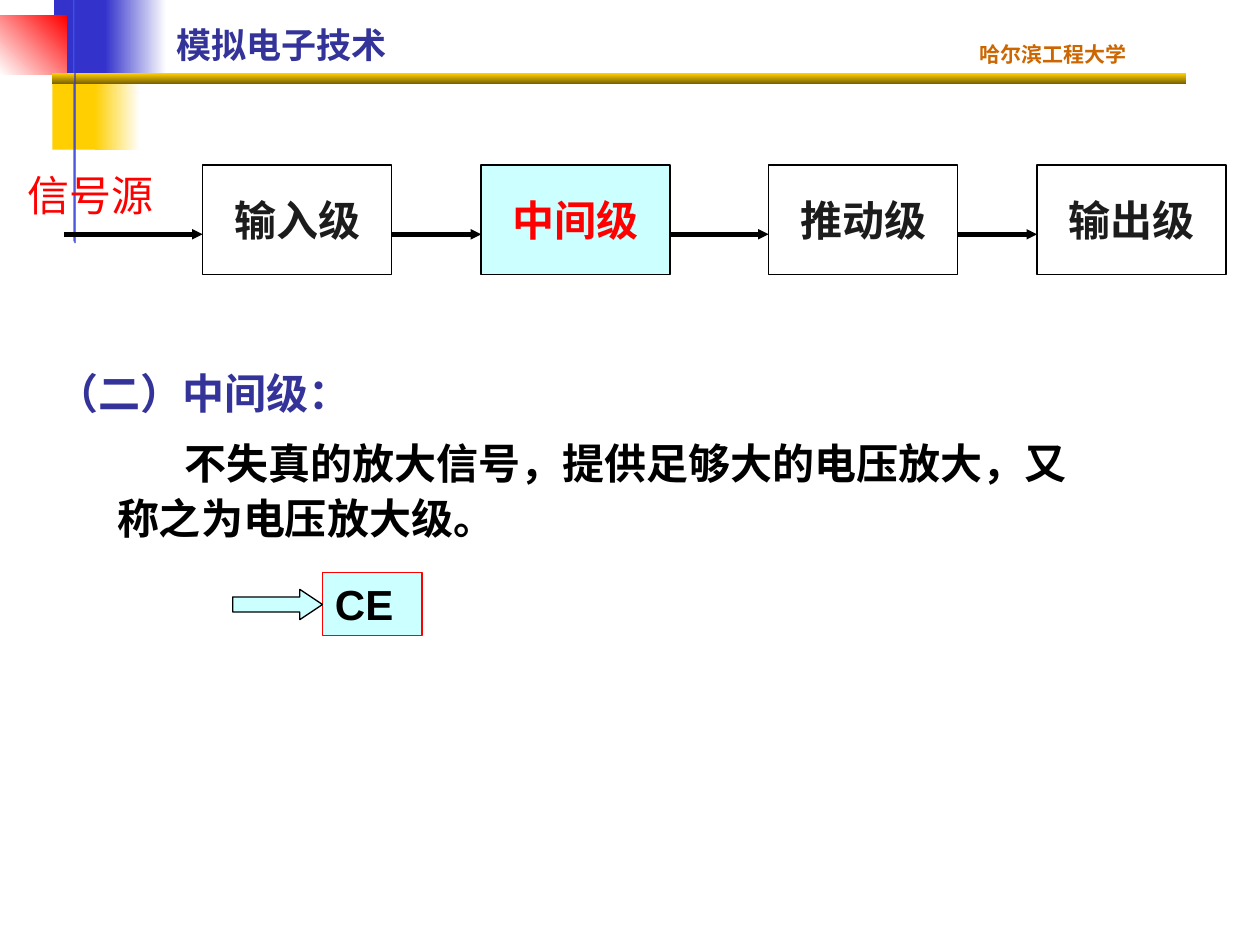
from lxml import etree
from pptx import Presentation
from pptx.dml.color import RGBColor
from pptx.enum import shapes, text
from pptx.oxml.ns import qn
from pptx.util import Pt

NAVY, BLUE, GOLD, RED = "333399", "3333CC", "FFCF01", "FF0000"
BLACK, WHITE, CYAN = "000000", "FFFFFF", "CCFFFF"
CJK = "Noto Sans CJK SC"


def color(value):
    return RGBColor.from_string(value)


def add_block(slide, box, fill=None, line=None, weight=0.75, angle=0,
              kind=shapes.MSO_SHAPE.RECTANGLE):
    block = slide.shapes.add_shape(kind, *map(Pt, box))
    block.shadow.inherit = False
    if fill is None:
        block.fill.background()
    elif isinstance(fill, tuple):
        block.fill.gradient()
        block.fill.gradient_angle = angle
        for stop, shade in zip(block.fill.gradient_stops, fill):
            stop.color.rgb = color(shade)
    else:
        block.fill.solid()
        block.fill.fore_color.rgb = color(fill)
    if line:
        block.line.color.rgb = color(line)
        block.line.width = Pt(weight)
    else:
        block.line.fill.background()
    return block


def write(holder, words, size=24, font=CJK, ink=BLACK, bold=True, wrap=True,
          align=text.PP_ALIGN.LEFT, indent=0, leading=None):
    frame = holder.text_frame
    frame.word_wrap = wrap
    frame.vertical_anchor = text.MSO_ANCHOR.MIDDLE
    paragraph = frame.paragraphs[0]
    paragraph.alignment = align
    if indent:
        paragraph._p.get_or_add_pPr().set("indent", str(Pt(indent)))
    if leading:
        paragraph.line_spacing = Pt(leading)
    run = paragraph.add_run()
    run.text = words
    run.font.size = Pt(size)
    run.font.name = font
    run.font.bold = bold
    run.font.color.rgb = color(ink)


def add_label(slide, box, words, **style):
    write(slide.shapes.add_textbox(*map(Pt, box)), words, **style)


def add_arrow(slide, start, end, y):
    arrow = slide.shapes.add_connector(
        shapes.MSO_CONNECTOR.STRAIGHT, Pt(start), Pt(y), Pt(end), Pt(y))
    arrow.line.color.rgb = color(BLACK)
    arrow.line.width = Pt(3)
    etree.SubElement(arrow.line._get_or_add_ln(), qn("a:tailEnd"),
                     type="triangle", w="sm", len="sm")
    etree.SubElement(arrow._element.spPr, qn("a:effectLst"))


def add_header(slide, left, top):
    def place(x, y, width, height):
        return left + x, top + y, width, height

    add_block(slide, place(30, 48, 34.5, 37.5), GOLD)
    add_block(slide, place(54, 48, 26, 37.5), (GOLD, WHITE))
    add_block(slide, place(31, 0, 33, 41.75), BLUE)
    add_block(slide, place(60, 0, 35, 41.75), (BLUE, WHITE))
    add_block(slide, place(0, 9, 38.25, 33.5), (WHITE, RED), angle=45)
    add_block(slide, place(42, 0, 0.75, 138), "3366FF")
    add_block(slide, place(30, 42, 648, 6), (GOLD, "766000"), angle=270)
    center = text.PP_ALIGN.CENTER
    add_label(slide, place(93.6, 9.4, 134.6, 31.7), "模拟电子技术", size=20,
              font="Lato", ink=NAVY, wrap=False, align=center)
    add_label(slide, place(513.4, 20.2, 176.4, 21.6), "哈尔滨工程大学", size=12,
              font="Lato", ink="CC6600", align=center)
    add_block(slide, place(42.5, 0, 0.75, 139), BLUE)


def add_stages(slide, left, top):
    width, height = 108, 62.6
    stages = [("输入级", 79), ("中间级", 238.2), ("推动级", 402.4), ("输出级", 555.8)]
    source = left
    for name, offset in stages:
        active = name == "中间级"
        x = left + offset
        stage = add_block(slide, (x, top, width, height),
                          CYAN if active else None, BLACK, 1)
        write(stage, name, font="DejaVu Sans", ink=RED if active else "1C1C1C",
              wrap=False, align=text.PP_ALIGN.CENTER)
        add_arrow(slide, source, x, top + 39.6)
        source = x + width
    add_label(slide, (left - 28, top - 11.5, 113, 56.9), "信号源",
              font="Lato", ink=RED, bold=False)


def add_explanation(slide, left, top):
    add_label(slide, (left, top, 385, 44), "（二）中间级：", ink=NAVY)
    add_label(slide, (left + 34.6, top + 38, 561.6, 76),
              "不失真的放大信号，提供足够大的电压放大，又称之为电压放大级。",
              indent=38.3, leading=31.4)


def add_circuit(slide, left, top):
    circuit = add_block(slide, (left + 51.3, top, 56.9, 36), CYAN, RED)
    write(circuit, "CE", font="Arial")
    pointer = add_block(slide, (left, top + 9.8, 51.3, 17.3), CYAN, BLACK,
                        kind=shapes.MSO_SHAPE.RIGHT_ARROW)
    pointer.adjustments[0] = 0.5
    pointer.adjustments[1] = 0.75


def main():
    deck = Presentation()
    deck.slide_width, deck.slide_height = Pt(720), Pt(540)
    slide = deck.slides.add_slide(deck.slide_layouts[6])
    add_header(slide, 0, 0)
    add_explanation(slide, 25.2, 202.6)
    add_stages(slide, 36.8, 94.3)
    add_circuit(slide, 133, 327)
    deck.save("out.pptx")


if __name__ == "__main__":
    main()
